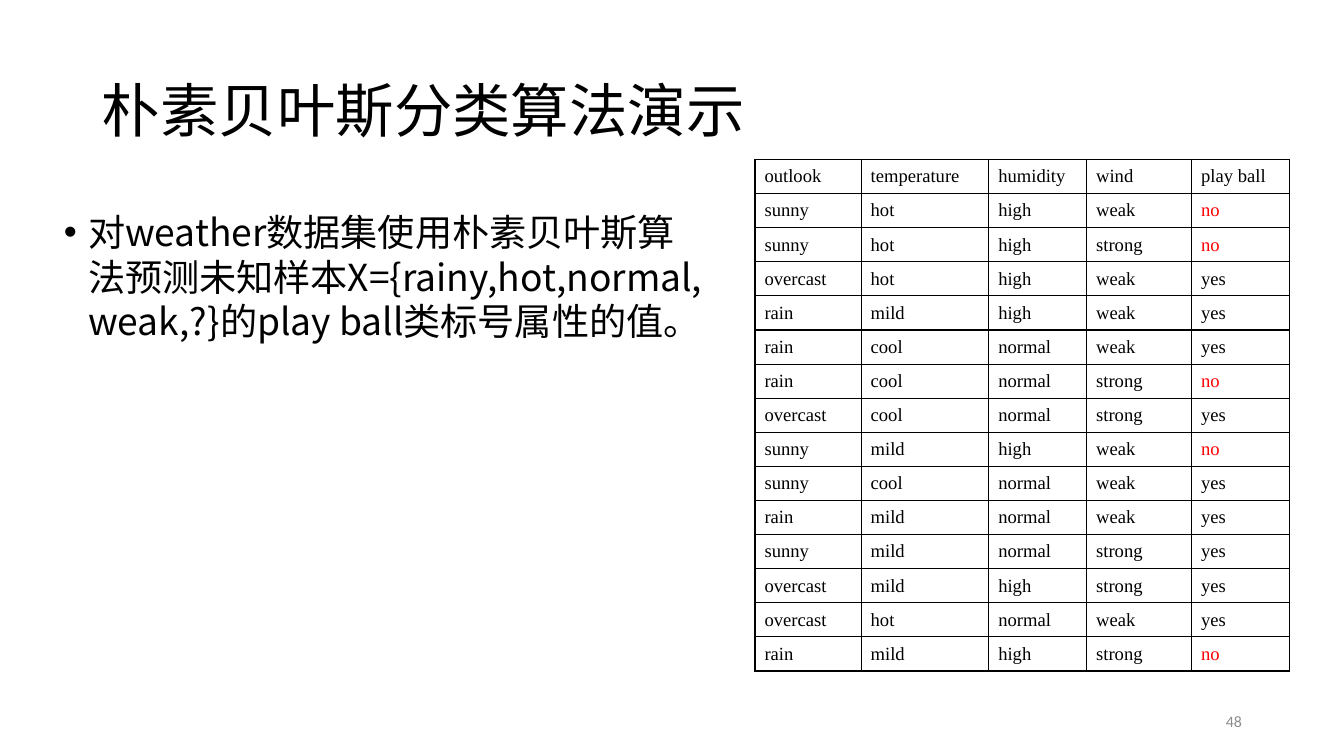
from dataclasses import dataclass

from lxml import etree
from pptx import Presentation
from pptx.dml.color import RGBColor
from pptx.enum.text import MSO_ANCHOR, PP_ALIGN
from pptx.oxml.ns import qn
from pptx.util import Cm, Pt

TOP, MIDDLE = MSO_ANCHOR.TOP, MSO_ANCHOR.MIDDLE
LEFT, RIGHT = PP_ALIGN.LEFT, PP_ALIGN.RIGHT


@dataclass(frozen=True)
class Theme:
    ink: str = "000000"
    negative: str = "FF0000"
    muted: str = "8C8C8C"
    paper: str = "FFFFFF"
    title_size: int = 44
    body_size: int = 28
    table_size: int = 14
    number_size: int = 12
    latin: str = "Calibri"
    cjk: str = "Noto Sans CJK SC"
    serif: str = "Times New Roman"


THEME = Theme()

TITLE = "朴素贝叶斯分类算法演示"
TASK = ("对weather数据集使用朴素贝叶斯算法预测未知样本"
        "X={rainy,hot,normal, weak,?}的play ball类标号属性的值。")
HEADINGS = ["outlook", "temperature", "humidity", "wind", "play ball"]
SAMPLES = """
sunny hot high weak no
sunny hot high strong no
overcast hot high weak yes
rain mild high weak yes
rain cool normal weak yes
rain cool normal strong no
overcast cool normal strong yes
sunny mild high weak no
sunny cool normal weak yes
rain mild normal weak yes
sunny mild normal strong yes
overcast mild high strong yes
overcast hot normal weak yes
rain mild high strong no
"""
COLUMN_WIDTHS = [2.82, 3.39, 2.6, 2.79, 2.6]
TABLE_HEIGHT = 13.59


def write(frame, text, *, size, font, color=THEME.ink, align=LEFT,
          spacing=1.0, hanging=0, bullet=None):
    paragraph = frame.paragraphs[0]
    paragraph.alignment = align
    paragraph.line_spacing = spacing
    properties = paragraph._p.get_or_add_pPr()
    if hanging:
        properties.set("marL", str(Cm(hanging)))
        properties.set("indent", str(-Cm(hanging)))
    if bullet:
        etree.SubElement(properties, qn("a:buFont"), typeface="Arial")
        etree.SubElement(properties, qn("a:buChar"), char=bullet)
    run = paragraph.add_run()
    run.text = text
    run.font.size = Pt(size)
    run.font.color.rgb = RGBColor.from_string(color)
    run.font.name = font
    etree.SubElement(run._r.get_or_add_rPr(), qn("a:ea"), typeface=THEME.cjk)


def add_text(slide, text, left, top, width, height, anchor=TOP, **format):
    frame = slide.shapes.add_textbox(Cm(left), Cm(top), Cm(width), Cm(height)).text_frame
    frame.word_wrap = True
    frame.vertical_anchor = anchor
    write(frame, text, **format)


def outline(cell):
    properties = cell._tc.get_or_add_tcPr()
    for side in ("lnL", "lnR", "lnT", "lnB"):
        border = etree.SubElement(properties, qn(f"a:{side}"), w=str(Pt(1)))
        fill = etree.SubElement(border, qn("a:solidFill"))
        etree.SubElement(fill, qn("a:srgbClr"), val=THEME.ink)


def add_weather_table(slide, left, top):
    rows = [HEADINGS] + [line.split() for line in SAMPLES.strip().splitlines()]
    table = slide.shapes.add_table(
        len(rows), len(HEADINGS), Cm(left), Cm(top),
        Cm(sum(COLUMN_WIDTHS)), Cm(TABLE_HEIGHT)).table
    table.first_row = False
    table.horz_banding = False
    for column, width in zip(table.columns, COLUMN_WIDTHS):
        column.width = Cm(width)
    for row, values in zip(table.rows, rows):
        row.height = Cm(TABLE_HEIGHT / len(rows))
        for cell, value in zip(row.cells, values):
            outline(cell)
            cell.fill.solid()
            cell.fill.fore_color.rgb = RGBColor.from_string(THEME.paper)
            cell.vertical_anchor = MIDDLE
            write(cell.text_frame, value, size=THEME.table_size, font=THEME.serif,
                  color=THEME.negative if value == "no" else THEME.ink, hanging=0.81)


def main():
    deck = Presentation()
    deck.slide_width, deck.slide_height = Cm(35.71), Cm(20.09)
    slide = deck.slides.add_slide(deck.slide_layouts[6])
    add_text(slide, TITLE, 2.46, 1.07, 30.81, 3.89, anchor=MIDDLE,
             size=THEME.title_size, font=THEME.latin, spacing=0.9)
    add_text(slide, TASK, 1.45, 5.44, 17.6, 12.75, size=THEME.body_size,
             font=THEME.cjk, hanging=0.64, bullet="•")
    add_weather_table(slide, 20.06, 4.24)
    add_text(slide, "48", 25.22, 18.62, 8.03, 1.07, anchor=MIDDLE,
             size=THEME.number_size, font=THEME.latin, color=THEME.muted, align=RIGHT)
    deck.save("out.pptx")


if __name__ == "__main__":
    main()
